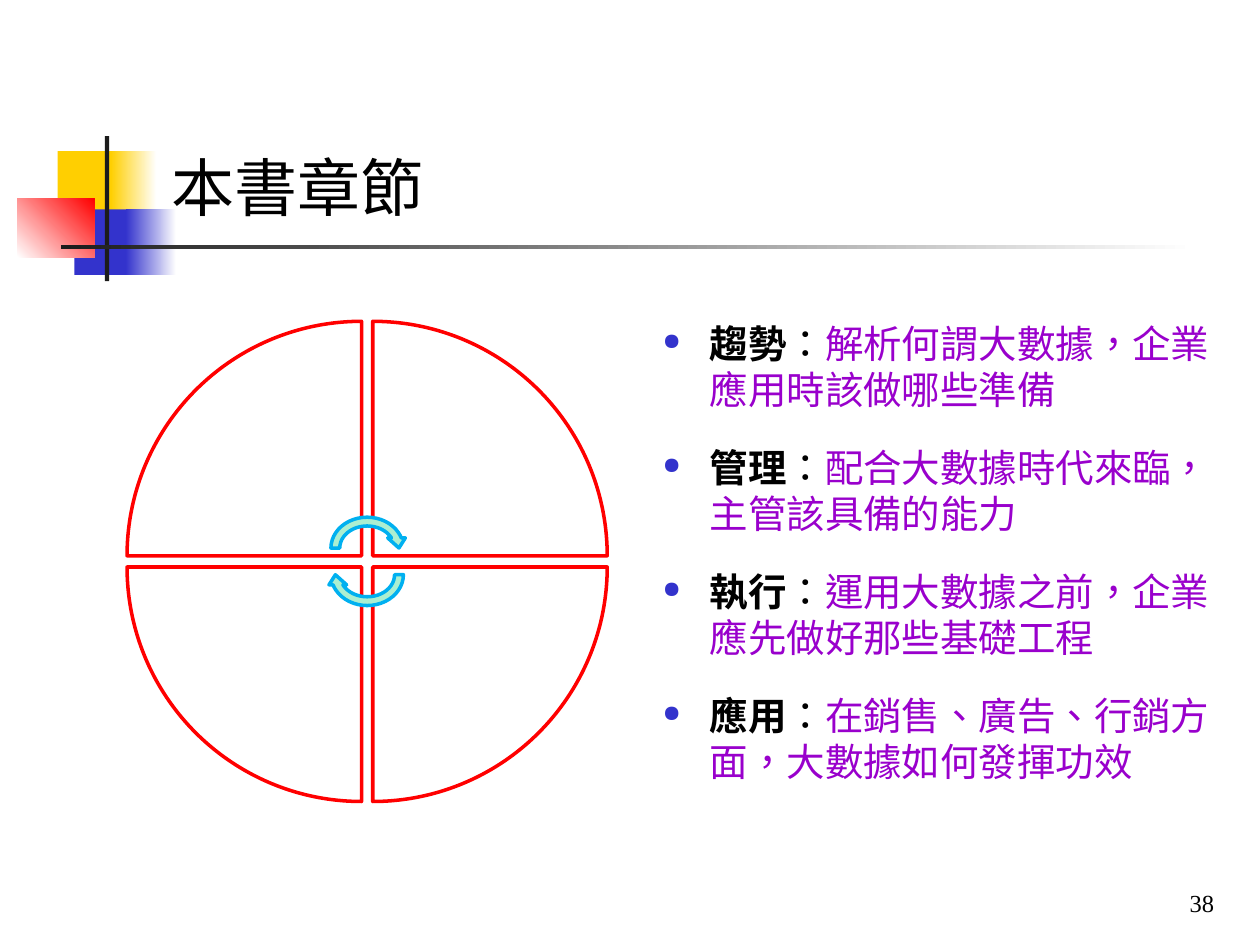
from lxml import etree
from pptx import Presentation
from pptx.dml.color import RGBColor
from pptx.enum import lang, shapes, text
from pptx.oxml import ns
from pptx.util import Pt

TITLE = "本書章節"
PAGE_NUMBER = "38"
CHAPTERS = [
    ("趨勢", "解析何謂大數據，企業應用時該做哪些準備"),
    ("管理", "配合大數據時代來臨，主管該具備的能力"),
    ("執行", "運用大數據之前，企業應先做好那些基礎工程"),
    ("應用", "在銷售、廣告、行銷方面，大數據如何發揮功效"),
]
BLACK, WHITE, YELLOW, BLUE, RED = "000000", "FFFFFF", "FFCF01", "3333CC", "FF0000"
CHARCOAL, PURPLE, MINT, SKY = "1C1C1C", "9900CC", "ABEFD1", "00B0F0"

# (left, top, width, height), colours, gradient angle (counter-clockwise)
ORNAMENTS = [
    ((33, 86.4, 34.6, 37.4), [YELLOW], 0),
    ((63.4, 86.4, 26, 37.4), [YELLOW, WHITE], 0),
    ((42.5, 119.7, 33.1, 37.4), [BLUE], 0),
    ((72, 119.7, 28.8, 37.4), [BLUE, WHITE], 0),
    ((9.8, 113.6, 44.2, 33.4), [WHITE, RED], 45),
    ((59.9, 77.8, 2.5, 82.8), [CHARCOAL], 0),
    ((34.8, 140.1, 648, 2.5), [CHARCOAL, WHITE], 0),
]

WHEEL_CENTER = (209.8, 320.8)
WEDGE_SIZE, WEDGE_GAP = 134, 6.4
WEDGE_SIDES = [(-1, -1), (1, -1), (1, 1), (-1, 1)]  # clockwise from top left
ARROW_WIDTH, ARROW_HEIGHT, ARROW_OFFSET = 46.4, 40.3, 7.6


def color(value):
    return RGBColor.from_string(value)


def add_figure(slide, preset, box, fills, angle=0, line=None, rotation=0):
    figure = slide.shapes.add_shape(preset, *map(Pt, box))
    figure.shadow.inherit = False
    figure.rotation = rotation
    if len(fills) == 1:
        figure.fill.solid()
        figure.fill.fore_color.rgb = color(fills[0])
    else:
        figure.fill.gradient()
        figure.fill.gradient_angle = angle
        for stop, shade, position in zip(figure.fill.gradient_stops, fills, (0, 1)):
            stop.color.rgb = color(shade)
            stop.position = position
    if line:
        figure.line.color.rgb = color(line)
        figure.line.width = Pt(2)
    else:
        figure.line.fill.background()


def add_frame(slide, box, anchor):
    frame = slide.shapes.add_textbox(*map(Pt, box)).text_frame
    frame.word_wrap = True
    frame.vertical_anchor = anchor
    return frame


def write(paragraph, words, size, shade=BLACK, bold=False):
    run = paragraph.add_run()
    run.text = words
    run.font.size = Pt(size)
    run.font.name = "Times New Roman"
    run.font.bold = bold
    run.font.color.rgb = color(shade)
    run.font.language_id = lang.MSO_LANGUAGE_ID.TRADITIONAL_CHINESE


def add_bullet(paragraph):
    properties = paragraph._p.get_or_add_pPr()
    properties.set("marL", str(Pt(27)))
    properties.set("indent", str(-Pt(27)))
    bullet_color = etree.SubElement(properties, ns.qn("a:buClr"))
    etree.SubElement(bullet_color, ns.qn("a:srgbClr"), val=BLUE)
    etree.SubElement(properties, ns.qn("a:buSzPct"), val="60000")
    etree.SubElement(properties, ns.qn("a:buChar"), char="●")


def add_wheel(slide):
    center_x, center_y = WHEEL_CENTER
    reach = (WEDGE_SIZE + WEDGE_GAP) / 2
    for turn, (side_x, side_y) in enumerate(WEDGE_SIDES):
        box = (center_x + side_x * reach - WEDGE_SIZE / 2,
               center_y + side_y * reach - WEDGE_SIZE / 2, WEDGE_SIZE, WEDGE_SIZE)
        add_figure(slide, shapes.MSO_SHAPE.PIE_WEDGE, box, [WHITE],
                   line=RED, rotation=90 * turn)
    for side_y, rotation in ((-1, 0), (1, 180)):
        box = (center_x - ARROW_WIDTH / 2,
               center_y + side_y * ARROW_OFFSET - ARROW_HEIGHT / 2,
               ARROW_WIDTH, ARROW_HEIGHT)
        add_figure(slide, shapes.MSO_SHAPE.CIRCULAR_ARROW, box, [MINT],
                   line=SKY, rotation=rotation)


def add_chapters(slide):
    frame = add_frame(slide, (371.5, 179.3, 334, 270), text.MSO_ANCHOR.TOP)
    for index, (name, summary) in enumerate(CHAPTERS):
        paragraph = frame.add_paragraph() if index else frame.paragraphs[0]
        add_bullet(paragraph)
        if index:
            paragraph.space_before = Pt(18)
        write(paragraph, name, 22, bold=True)
        write(paragraph, "：", 22)
        write(paragraph, summary, 22, PURPLE)


def main():
    deck = Presentation()
    deck.slide_width, deck.slide_height = Pt(720), Pt(540)
    slide = deck.slides.add_slide(deck.slide_layouts[6])
    for box, fills, angle in ORNAMENTS:
        add_figure(slide, shapes.MSO_SHAPE.RECTANGLE, box, fills, angle)

    number = add_frame(slide, (554.4, 491.8, 146.5, 36), text.MSO_ANCHOR.BOTTOM).paragraphs[0]
    number.alignment = text.PP_ALIGN.RIGHT
    write(number, PAGE_NUMBER, 14)

    title = add_frame(slide, (90.7, 16.6, 613.4, 115.2), text.MSO_ANCHOR.BOTTOM).paragraphs[0]
    write(title, TITLE, 36)

    add_wheel(slide)
    add_chapters(slide)
    deck.save("out.pptx")


if __name__ == "__main__":
    main()
